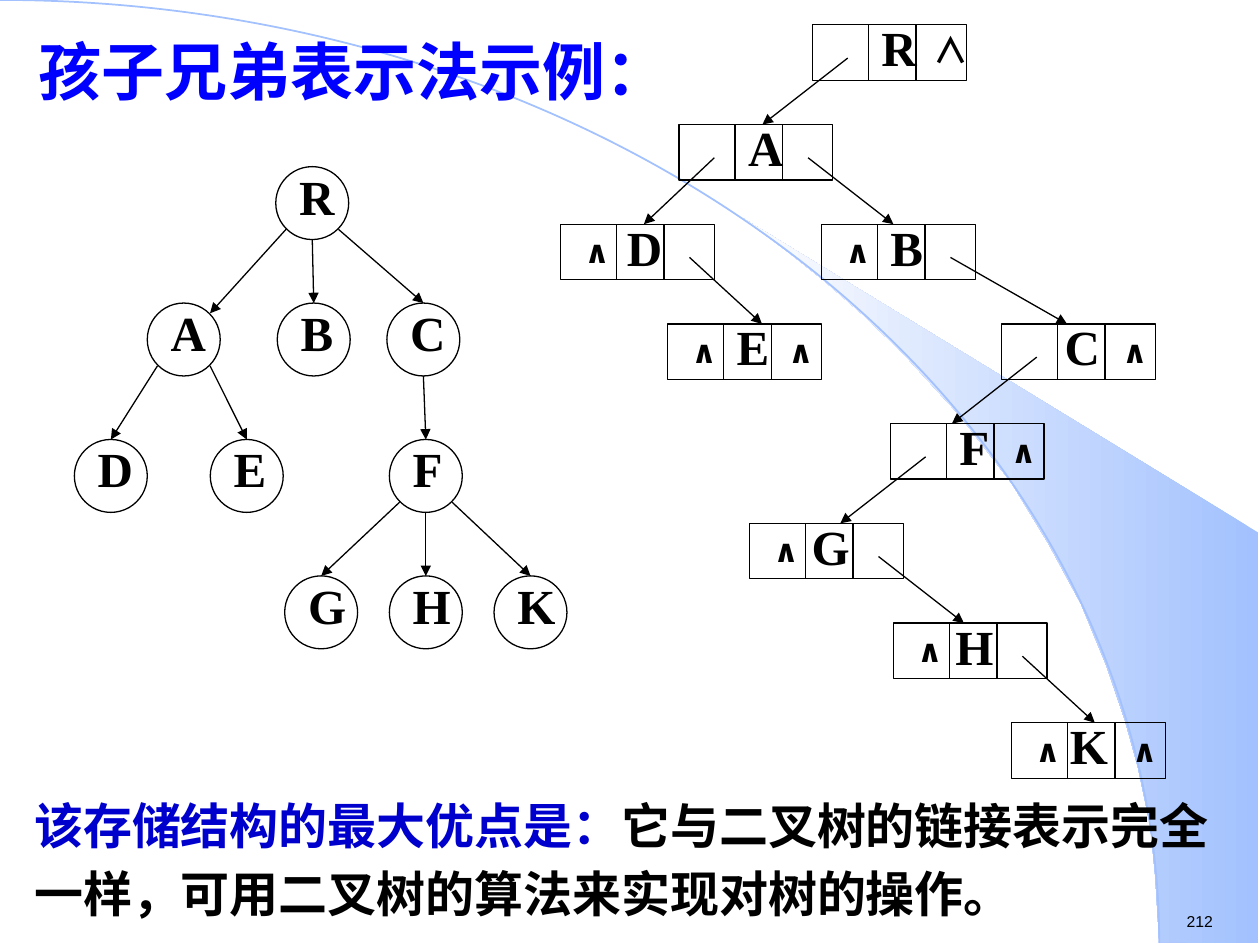
from lxml import etree
from pptx import Presentation, util as u
from pptx.dml.color import RGBColor
from pptx.enum import shapes as es, text as et
from pptx.oxml.ns import qn

BLACK = RGBColor(0, 0, 0)
BLUE = RGBColor(0, 0, 0xFF)
NAVY = RGBColor(0, 0, 0xCC)
SKY = RGBColor(0xA2, 0xC1, 0xFE)
PALE = RGBColor(0xFE, 0xFE, 0xFE)
SERIF, SANS, CJK = "Times New Roman", "Arial", "Noto Sans CJK SC"

# Wedge outline in hundredths of a centimetre
WEDGE = [(2337, 1900), (2537, 1902), (2537, 1074), (1496, 439), (1585, 505),
         (1659, 564), (1740, 635), (1819, 711), (1935, 838), (2040, 975),
         (2113, 1095), (2179, 1217), (2230, 1341), (2268, 1453),
         (2294, 1547), (2319, 1666), (2329, 1768)]

# Label box widths that differ from the usual one
WIDTH = {"B": 1.17, "E": 1.17, "F": 1.12, "G": 1.27, "H": 1.27, "K": 1.27}

# name: (x, level, children)
TREE = {
    "R": (4.06, 0, "ABC"), "A": (1.47, 1, "DE"), "B": (4.09, 1, ""),
    "C": (6.3, 1, "F"), "D": (0, 2, ""), "E": (2.74, 2, ""),
    "F": (6.35, 2, "GHK"), "G": (4.24, 3, ""), "H": (6.35, 3, ""),
    "K": (8.46, 3, ""),
}

# name: (x, level, label offset, arrow entry offset, first child, next sibling)
CELLS = {
    "R": (5.08, 0, 1.14, 0, "A", None),
    "A": (2.39, 1, 1.14, 1.68, "D", "B"),
    "D": (0, 2, 1.09, 1.68, None, "E"),
    "B": (5.26, 2, 1.14, 1.45, None, "C"),
    "E": (2.16, 3, 1.14, 1.9, None, None),
    "C": (8.89, 3, 1.02, 1.32, "F", None),
    "F": (6.65, 4, 1.14, 1.24, "G", None),
    "G": (3.81, 5, 1, 1.83, None, "H"),
    "H": (6.71, 6, 1, 1.42, None, "K"),
    "K": (9.09, 7, 0.93, 1.68, None, None),
}


def cm(*nums):
    return [u.Cm(n) for n in nums]


def write(on, box, *runs, size=28, font=SERIF, ea=None, bold=True,
          wrap=False, side=0.25, lead=None):
    """Add a text box; each run is a (words, colour) pair."""
    frame = on.add_textbox(*cm(*box)).text_frame
    frame.word_wrap = wrap
    frame.auto_size = et.MSO_AUTO_SIZE.SHAPE_TO_FIT_TEXT
    frame.margin_left = frame.margin_right = u.Cm(side)
    frame.margin_top = frame.margin_bottom = u.Cm(0.13)
    para = frame.paragraphs[0]
    if lead:
        para.line_spacing = u.Pt(lead)
    for words, tint in runs:
        run = para.add_run()
        run.text = words
        run.font.size, run.font.bold = u.Pt(size), bold
        run.font.name = font
        run.font.color.rgb = tint
        east = etree.SubElement(run.font._element, qn("a:ea"))
        east.set("typeface", ea or font)


def outline(on, kind, box, tint=BLACK, width=0.75):
    form = on.add_shape(kind, *cm(*box))
    form.shadow.inherit = False
    form.fill.background()
    form.line.color.rgb = tint
    form.line.width = u.Pt(width)


def arrow(on, start, end):
    line = on.add_connector(es.MSO_CONNECTOR.STRAIGHT, *cm(*start, *end))
    line.line.color.rgb = BLACK
    line.line.width = u.Pt(0.75)
    tip = etree.SubElement(line.line._get_or_add_ln(), qn("a:tailEnd"))
    tip.set("type", "triangle")
    etree.SubElement(line._element.spPr, qn("a:effectLst"))


def letter(on, name, x, y):
    write(on, (x, y, WIDTH.get(name, 1.22), 1.45), (name, BLACK))


def backdrop(on):
    pen = on.build_freeform(*WEDGE[0], scale=u.Cm(0.01))
    pen.add_line_segments(WEDGE[1:], close=True)
    wedge = pen.convert_to_shape()
    wedge.shadow.inherit = False
    wedge.line.fill.background()
    wedge.fill.gradient()
    wedge.fill.gradient_angle = 180
    for stop, tint in zip(wedge.fill.gradient_stops, (SKY, PALE)):
        stop.color.rgb = tint
    outline(on, es.MSO_SHAPE.ARC, (-23.37, 0, 46.74, 38.02), SKY, 1)


def tree(on, left, top):
    size, step = 1.47, 2.75
    near, far = 0.14 * size, 0.86 * size
    spot = {n: (left + x, top + row * step) for n, (x, row, _) in TREE.items()}
    for name, (x, y) in spot.items():
        outline(on, es.MSO_SHAPE.OVAL, (x, y, size, size))
        letter(on, name, x + 0.22, y - 0.14)
        for kid in TREE[name][2]:
            kx, ky = spot[kid]
            end = (kx + size / 2, ky)
            if abs(kx - x) < 0.2:
                start = (x + size / 2, y + size)
            else:
                start = (x + (near if kx < x else far), y + far)
            if kid == "A":
                end = (kx + far, ky + near)
            arrow(on, start, end)


def cells(on, left, top):
    """Draw the linked nodes: child pointer, name, sibling pointer."""
    step = 2.01
    for name, (dx, row, shift, _, child, kin) in CELLS.items():
        x, y = left + dx, top + row * step
        outline(on, es.MSO_SHAPE.RECTANGLE, (x, y, 3.1, 1.12))
        outline(on, es.MSO_SHAPE.RECTANGLE, (x + 1.13, y, 0.96, 1.12))
        letter(on, name, x + shift, y - 0.27)
        for goal, tail, mark in ((child, 0.71, 0.23), (kin, 2.6, 2.18)):
            if goal:
                gx, level, _, entry = CELLS[goal][:4]
                arrow(on, (x + tail, y + 0.67),
                      (left + gx + entry, top + level * step))
            elif name == "R":
                write(on, (x + mark, y - 0.05, 1.07, 1.12), ("∧", BLACK),
                      size=20, font="Noto Sans CJK JP")
            else:
                write(on, (x + mark, y + 0.03, 1.02, 1.02), ("∧", BLACK),
                      size=18, font="Karla")


def main():
    deck = Presentation()
    deck.slide_width, deck.slide_height = cm(25.4, 19.05)
    on = deck.slides.add_slide(deck.slide_layouts[6]).shapes
    backdrop(on)
    write(on, (23.67, 18.26, 1.96, 0.64), ("212", BLACK),
          size=9, font=SANS, bold=False)
    tree(on.add_group_shape().shapes, 1.5, 3.36)
    cells(on.add_group_shape().shapes, 11.3, 0.5)
    write(on, (0.53, 0.53, 13.21, 1.78), ("孩子兄弟表示法示例：", BLUE),
          size=36, font=CJK)
    write(on, (0.69, 15.72, 24, 3.02), ("该存储结构的最大优点是：", NAVY),
          ("它与二叉树的链接表示完全一样，可用二叉树的算法来实现对树的操作。", BLACK),
          ea=CJK, wrap=True, side=0, lead=39)
    deck.save("out.pptx")


if __name__ == "__main__":
    main()
